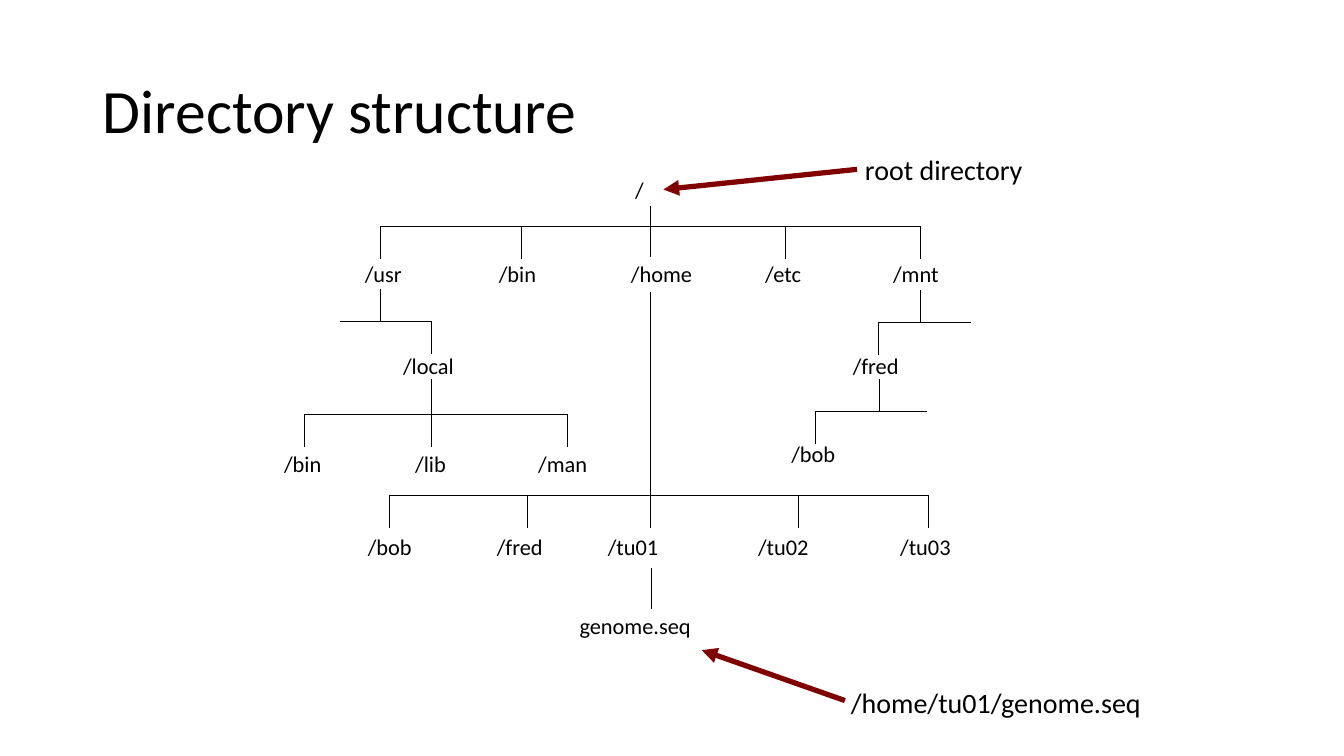
from pptx import Presentation, util as u
from pptx.dml.color import RGBColor
from pptx.enum import shapes, text
from pptx.oxml.ns import qn
from lxml import etree

BLACK, DARK_RED = "000000", "800000"
DROP = 0.32


def color(value):
    return RGBColor.from_string(value)


def write(frame, words, size=16, fill=BLACK, font="Calibri", spacing=None):
    """Put one formatted paragraph into a text frame."""
    paragraph = frame.paragraphs[0]
    paragraph.alignment = text.PP_ALIGN.LEFT
    paragraph.line_spacing = spacing
    run = paragraph.add_run()
    run.text = words
    run.font.size = u.Pt(size)
    run.font.name = font
    run.font.color.rgb = color(fill)


class TreeSlide:
    """Holds the slide and draws labels, lines and branches on it."""

    def __init__(self, slide):
        self.slide = slide

    def title(self, words):
        shape = self.slide.shapes.title
        shape.left, shape.top = u.Inches(0.92), u.Inches(0.4)
        shape.width, shape.height = u.Inches(11.5), u.Inches(1.45)
        shape.text_frame.vertical_anchor = text.MSO_ANCHOR.MIDDLE
        write(shape.text_frame, words, size=44, spacing=0.9)

    def label(self, words, left, top, width=1.1, inset=0.1, **style):
        shape = self.slide.shapes.add_textbox(
            u.Inches(left), u.Inches(top), u.Inches(width), u.Inches(0.45))
        frame = shape.text_frame
        frame.word_wrap = True
        frame.margin_left = u.Inches(inset)
        write(frame, words, **style)

    def line(self, x1, y1, x2, y2, fill=BLACK, width=0.75):
        connector = self.slide.shapes.add_connector(
            shapes.MSO_CONNECTOR.STRAIGHT,
            u.Inches(x1), u.Inches(y1), u.Inches(x2), u.Inches(y2))
        connector.line.color.rgb = color(fill)
        connector.line.width = u.Pt(width)
        properties = connector._element.spPr
        etree.SubElement(properties, qn("a:effectLst"))
        return connector

    def pointer(self, x1, y1, x2, y2):
        """Draw a thick line with its arrowhead at the first point."""
        connector = self.line(x1, y1, x2, y2, fill=DARK_RED, width=3.75)
        outline = connector.line._get_or_add_ln()
        etree.SubElement(outline, qn("a:headEnd"), type="triangle")

    def branch(self, trunk, bar, drops):
        """Draw a trunk (x, top, bottom), a bar (left, right, y) and its drops."""
        x, top, bottom = trunk
        left, right, y = bar
        self.line(x, top, x, bottom)
        self.line(left, y, right, y)
        for drop in drops:
            self.line(drop, y, drop, y + DROP)


def main():
    presentation = Presentation()
    presentation.slide_width = u.Inches(13.33)
    presentation.slide_height = u.Inches(7.5)
    tree = TreeSlide(presentation.slides.add_slide(presentation.slide_layouts[5]))
    tree.title("Directory structure")

    # Directory names, one row per level
    tree.label("/", 6.05, 1.7, inset=0.25)
    rows = [
        (2.53, [("/usr", 3.52), ("/bin", 4.85), ("/home", 6.16),
                ("/etc", 7.49), ("/mnt", 8.76)]),
        (3.44, [("/local", 3.9), ("/fred", 8.36)]),
        (4.42, [("/bin", 2.72), ("/lib", 4.02), ("/man", 5.24)]),
        (4.32, [("/bob", 7.75)]),
        (5.24, [("/bob", 3.55), ("/fred", 4.83), ("/tu01", 5.93),
                ("/tu02", 7.42), ("/tu03", 8.83)]),
    ]
    for top, names in rows:
        for name, left in names:
            tree.label(name, left, top)
    tree.label("genome.seq", 5.65, 6.02, width=1.73)

    # Branches below /, /usr, /local, /home, /mnt and /fred
    tree.branch((6.45, 2.04, 2.55), (3.77, 9.13, 2.25), [3.77, 5.17, 7.79, 9.13])
    tree.branch((3.77, 2.87, 3.19), (3.37, 4.28, 3.19), [4.28])
    tree.branch((4.28, 3.76, 4.43), (3.02, 5.63, 4.11), [3.02, 5.63])
    tree.branch((6.45, 2.9, 5.24), (3.86, 9.21, 4.92), [3.86, 5.23, 7.92, 9.21])
    tree.branch((9.13, 2.88, 3.2), (8.71, 9.63, 3.2), [8.71])
    tree.branch((8.72, 3.76, 4.08), (8.09, 9.19, 4.08), [8.09])
    tree.line(6.46, 5.64, 6.46, 6.04)

    # Explanations with arrows
    tree.label("/home/tu01/genome.seq", 8.34, 6.75, width=3.94, size=20)
    tree.pointer(6.96, 6.45, 8.38, 6.95)
    tree.label("root directory", 8.48, 1.46, width=1.82, size=20)
    tree.pointer(6.58, 1.88, 8.5, 1.68)

    presentation.save("out.pptx")


if __name__ == "__main__":
    main()
